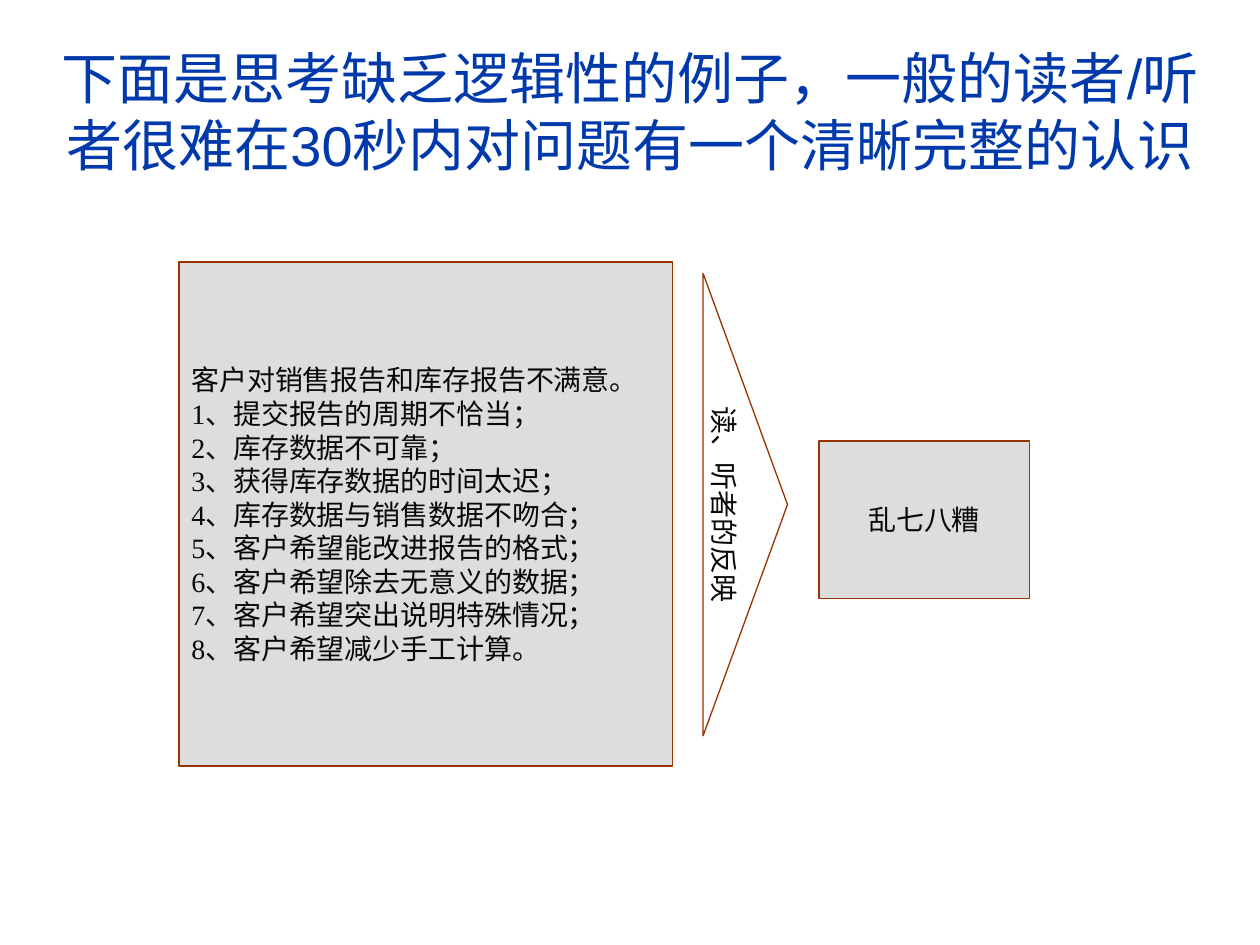
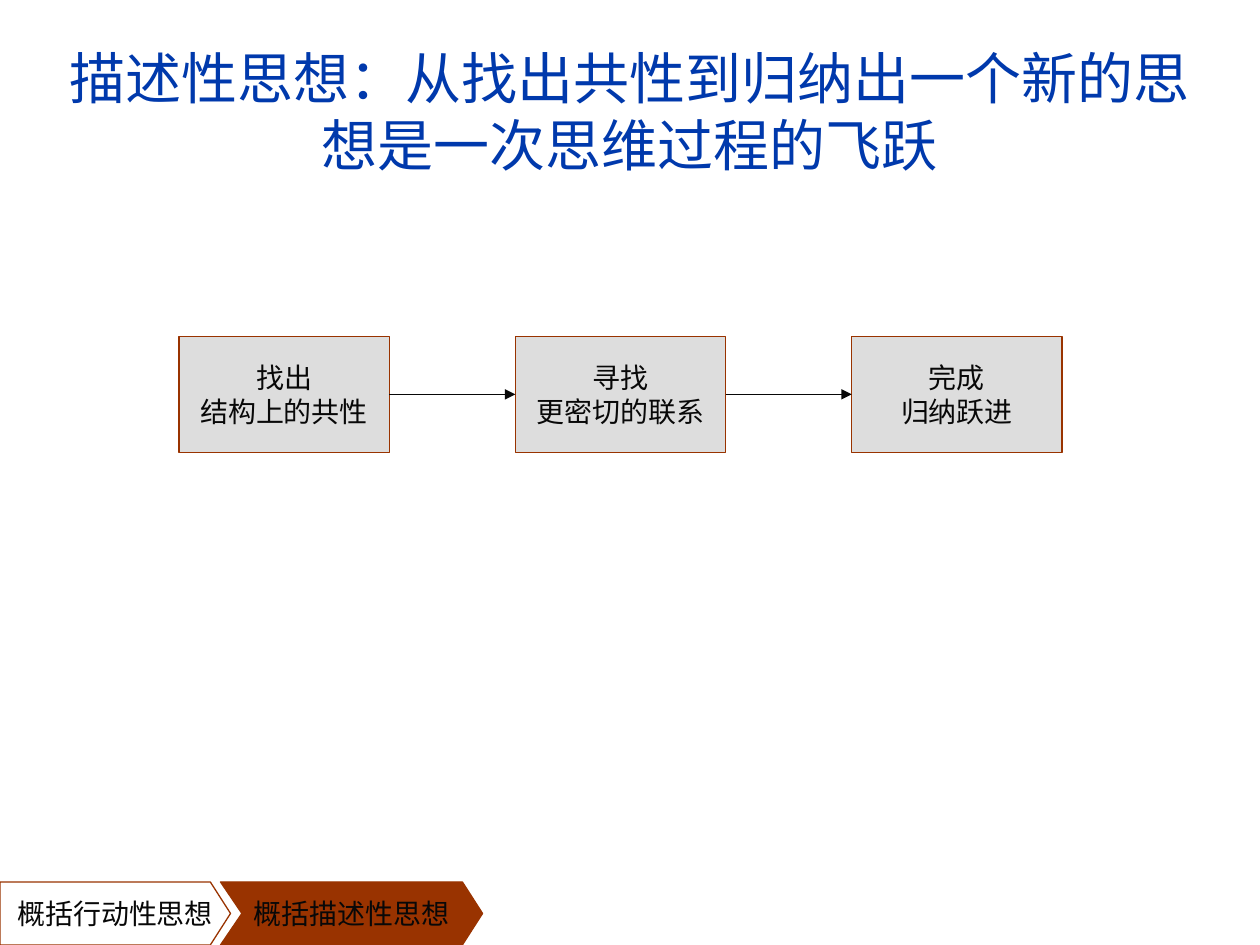
from lxml import etree
from pptx import Presentation
from pptx.dml.color import RGBColor
from pptx.enum import shapes, text
from pptx.oxml.ns import qn
from pptx.util import Inches, Pt

# Content
EXAMPLE_TITLE = "下面是思考缺乏逻辑性的例子，一般的读者/听者很难在30秒内对问题有一个清晰完整的认识"
COMPLAINT_HEADING = "客户对销售报告和库存报告不满意。"
COMPLAINTS = [
    "提交报告的周期不恰当；",
    "库存数据不可靠；",
    "获得库存数据的时间太迟；",
    "库存数据与销售数据不吻合；",
    "客户希望能改进报告的格式；",
    "客户希望除去无意义的数据；",
    "客户希望突出说明特殊情况；",
    "客户希望减少手工计算。",
]
REACTION_LABEL = "读、听者的反映"
REACTION = "乱七八糟"

PROCESS_TITLE = "描述性思想：从找出共性到归纳出一个新的思想是一次思维过程的飞跃"
STEPS = [["找出", "结构上的共性"], ["寻找", "更密切的联系"], ["完成", "归纳跃进"]]
# Label, left, right, notch depth, fill
FOOTER_TABS = [
    ("概括行动性思想", 0, 1.83, 0, None),
    ("概括描述性思想", 1.75, 3.83, 0.17, RGBColor(0x99, 0x33, 0x00)),
]

# Shared style
BLUE = RGBColor(0x00, 0x39, 0xAC)
BROWN = RGBColor(0x99, 0x33, 0x00)
GREY = RGBColor(0xDD, 0xDD, 0xDD)
INK = RGBColor(0x08, 0x08, 0x08)
LINE_WIDTH = Pt(0.75)
LEFT = 1.42


def write(shape, lines, size=16, font="Times New Roman", color=INK,
          align=text.PP_ALIGN.CENTER, wrap=False):
    frame = shape.text_frame
    frame.auto_size = text.MSO_AUTO_SIZE.NONE
    frame.word_wrap = wrap
    frame.vertical_anchor = text.MSO_ANCHOR.MIDDLE
    frame.text = "\n".join(lines)
    for paragraph in frame.paragraphs:
        paragraph.alignment = align
        paragraph.font.size = Pt(size)
        paragraph.font.name = font
        paragraph.font.color.rgb = color


def style(shape, fill):
    shape.shadow.inherit = False
    if fill is None:
        shape.fill.background()
    else:
        shape.fill.solid()
        shape.fill.fore_color.rgb = fill
    shape.line.color.rgb = BROWN
    shape.line.width = LINE_WIDTH


def add_slide(presentation, title):
    slide = presentation.slides.add_slide(presentation.slide_layouts[5])
    heading = slide.shapes.title
    heading.left, heading.top = Inches(0.33), Inches(0.25)
    heading.width, heading.height = Inches(9.34), Inches(1.25)
    write(heading, [title], size=32, font="Arial", color=BLUE, wrap=True)
    return slide


def add_box(slide, lines, left, top, width, height, fill=GREY,
            kind=shapes.MSO_SHAPE.RECTANGLE, **text_format):
    box = slide.shapes.add_shape(
        kind, Inches(left), Inches(top), Inches(width), Inches(height))
    style(box, fill)
    write(box, lines, **text_format)
    return box


def add_arrow(slide, start, end, y):
    arrow = slide.shapes.add_connector(
        shapes.MSO_CONNECTOR.STRAIGHT, Inches(start), Inches(y), Inches(end), Inches(y))
    arrow.line.color.rgb = INK
    arrow.line.width = LINE_WIDTH
    etree.SubElement(arrow.line._get_or_add_ln(), qn("a:tailEnd"), type="triangle")
    etree.SubElement(arrow._element.spPr, qn("a:effectLst"))


def add_footer_tab(slide, label, left, right, notch, fill):
    top, middle, bottom = 7, 7.25, 7.5
    shoulder = right - 0.16
    outline = [(left, top), (shoulder, top), (right, middle), (shoulder, bottom), (left, bottom)]
    if notch:
        outline.append((left + notch, middle))
    points = [(Inches(x), Inches(y)) for x, y in outline]
    builder = slide.shapes.build_freeform(*points[0])
    builder.add_line_segments(points[1:], close=True)
    tab = builder.convert_to_shape()
    style(tab, fill)
    write(tab, [label])


def build_example(presentation):
    slide = add_slide(presentation, EXAMPLE_TITLE)
    # Unordered complaints
    numbered = [f"{number}、{item}" for number, item in enumerate(COMPLAINTS, 1)]
    add_box(slide, [COMPLAINT_HEADING] + numbered, LEFT, 2.08, 3.92, 4,
            align=text.PP_ALIGN.LEFT)
    # Reaction of the audience
    triangle = add_box(slide, [REACTION_LABEL], 4.08, 3.67, 3.67, 0.67, fill=None,
                       kind=shapes.MSO_SHAPE.ISOSCELES_TRIANGLE)
    triangle.rotation = 90
    add_box(slide, [REACTION], 6.5, 3.5, 1.67, 1.25)


def build_process(presentation):
    slide = add_slide(presentation, PROCESS_TITLE)
    for footer_tab in FOOTER_TABS:
        add_footer_tab(slide, *footer_tab)
    # Steps joined by arrows
    top, width, height, gap = 2.67, 1.67, 0.92, 1
    for index, lines in enumerate(STEPS):
        left = LEFT + index * (width + gap)
        add_box(slide, lines, left, top, width, height)
        if index:
            add_arrow(slide, left - gap, left, top + height / 2)


def main():
    presentation = Presentation()
    presentation.slide_width, presentation.slide_height = Inches(10), Inches(7.5)
    build_example(presentation)
    build_process(presentation)
    presentation.save("out.pptx")


if __name__ == "__main__":
    main()
